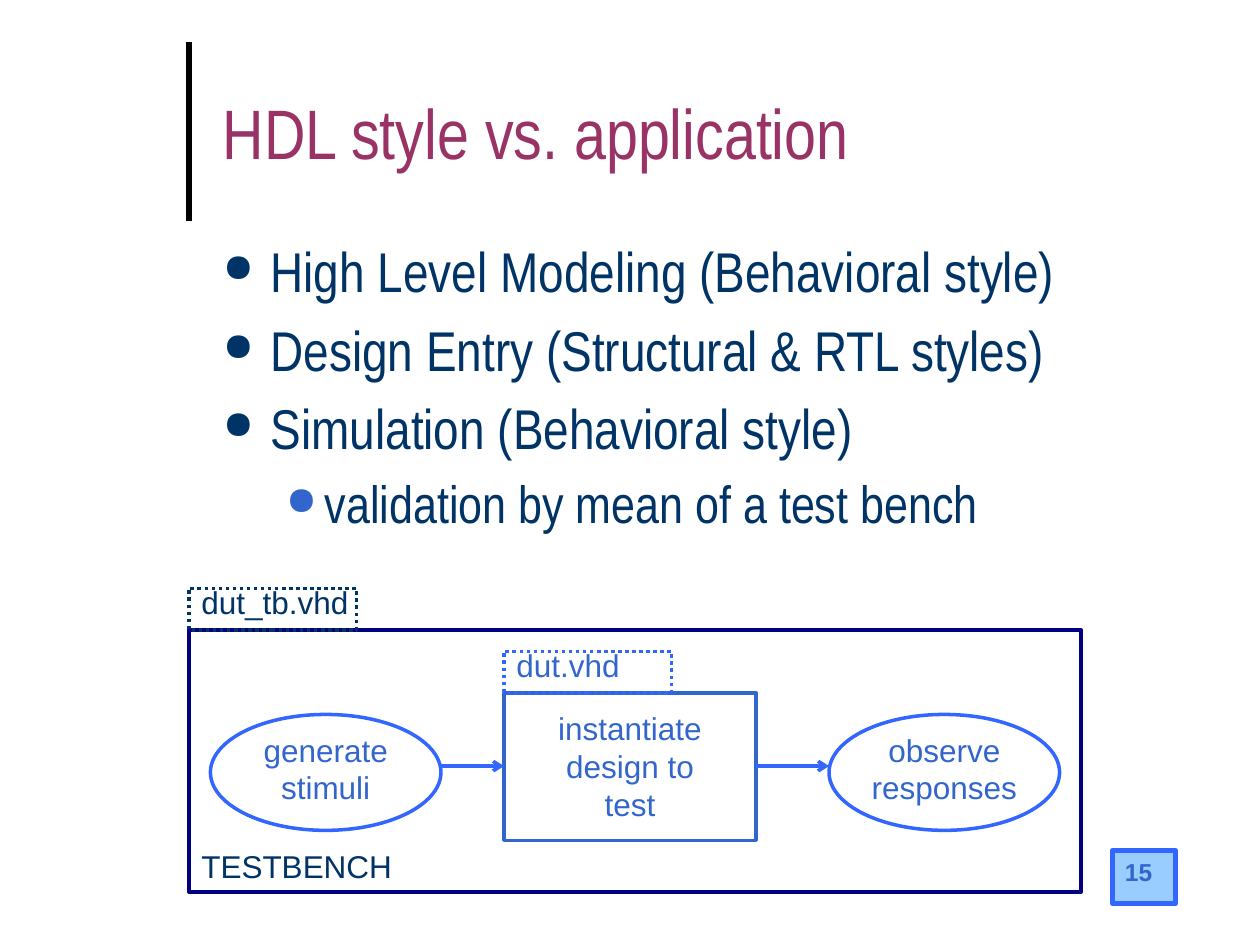
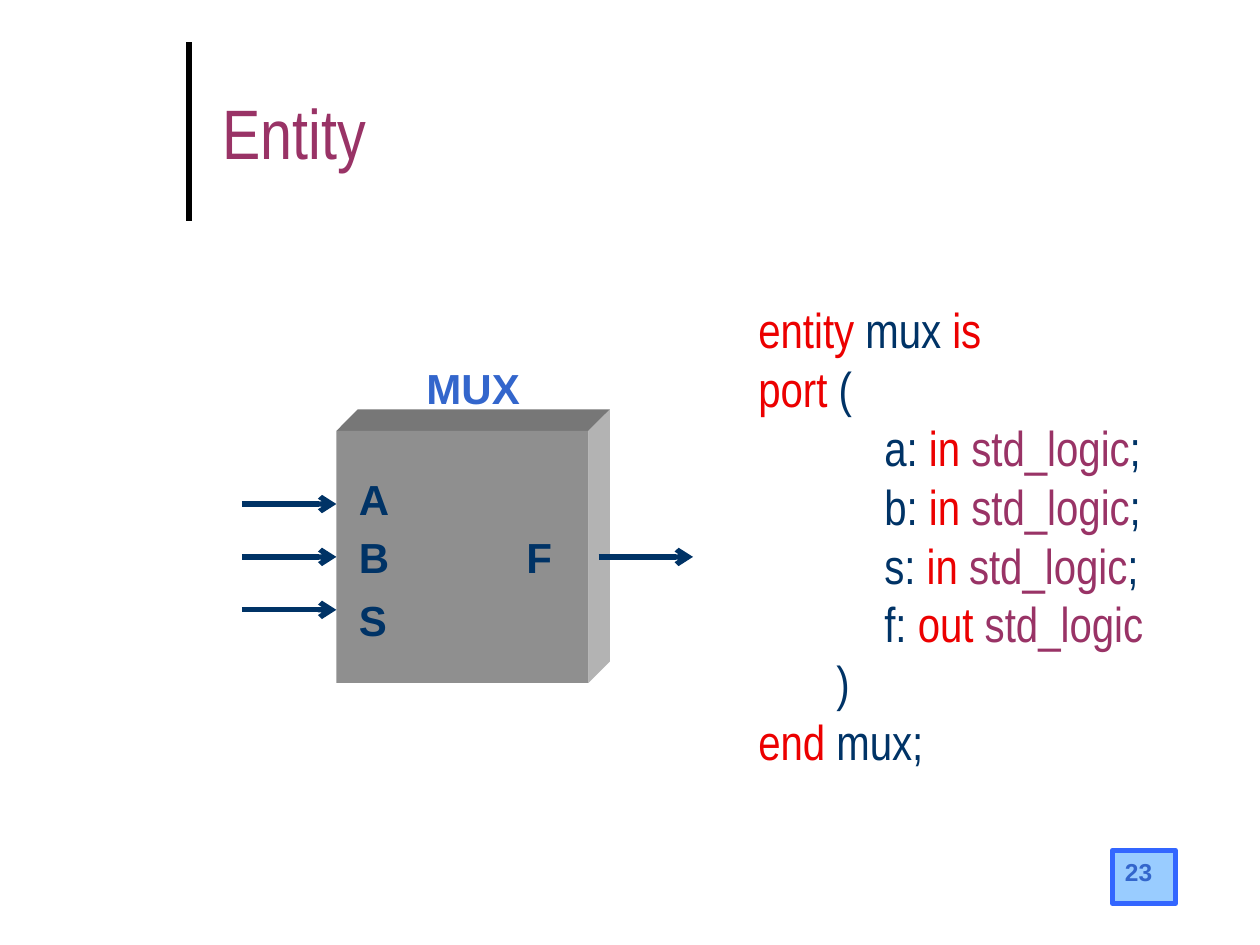
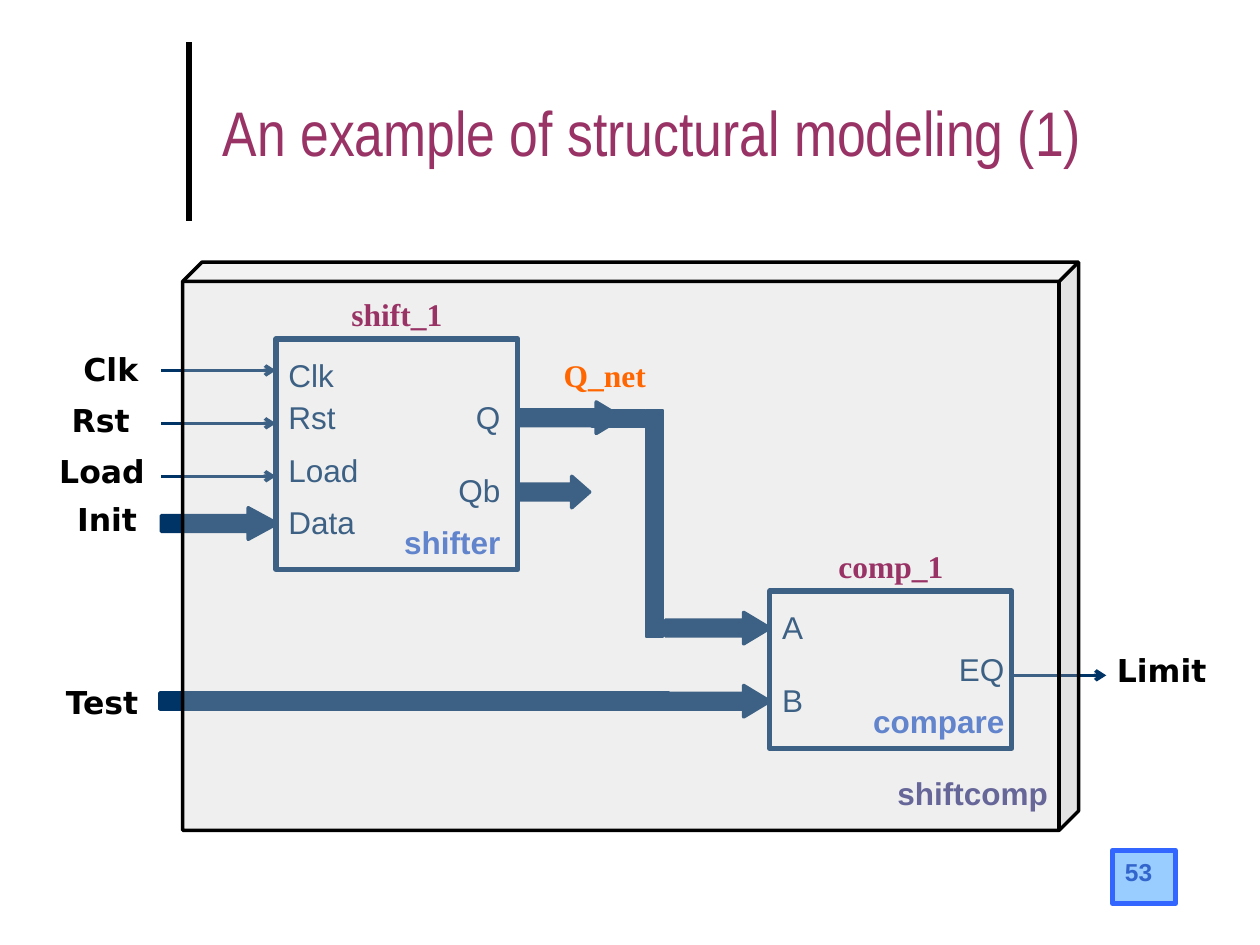
from lxml.etree import SubElement
from pptx import Presentation
from pptx.dml.color import RGBColor
from pptx.enum.dml import MSO_LINE
from pptx.enum.shapes import MSO_CONNECTOR, MSO_SHAPE
from pptx.enum.text import MSO_ANCHOR, PP_ALIGN
from pptx.oxml.ns import qn
from pptx.util import Inches, Pt

BLACK = RGBColor(0x00, 0x00, 0x00)
NAVY = RGBColor(0x00, 0x33, 0x66)
FRAME = RGBColor(0x00, 0x00, 0x80)
BLUE = RGBColor(0x33, 0x66, 0xCC)
BRIGHT = RGBColor(0x33, 0x66, 0xFF)
SKY = RGBColor(0x99, 0xCC, 0xFF)
PLUM = RGBColor(0x99, 0x33, 0x66)
RED = RGBColor(0xEC, 0x00, 0x00)
ORANGE = RGBColor(0xFF, 0x66, 0x00)
SLATE = RGBColor(0x66, 0x66, 0x99)
SILVER = RGBColor(0xCC, 0xCC, 0xCC)
FRONT = RGBColor(0x8F, 0x8F, 0x8F)
TOP = RGBColor(0x77, 0x77, 0x77)
SIDE = RGBColor(0xB3, 0xB3, 0xB3)

SANS, NARROW, SERIF, BOLD_SANS = "Arial", "Arial Narrow", "Times New Roman", "DejaVu Sans"
LEFT, CENTER, RIGHT = PP_ALIGN.LEFT, PP_ALIGN.CENTER, PP_ALIGN.RIGHT


def fill_text(tf, paragraphs, size=18, color=NAVY, font=SANS, bold=False,
              align=LEFT, anchor=MSO_ANCHOR.TOP):
    """Each paragraph is a string or a list of (text, colour) runs."""
    tf.word_wrap = True
    tf.vertical_anchor = anchor
    for i, runs in enumerate(paragraphs):
        p = tf.paragraphs[0] if i == 0 else tf.add_paragraph()
        p.alignment = align
        for words, tint in [(runs, color)] if isinstance(runs, str) else runs:
            r = p.add_run()
            r.text = words
            r.font.size, r.font.name, r.font.bold = Pt(size), font, bold
            r.font.color.rgb = tint


def text(s, box, *paragraphs, **style):
    tf = s.shapes.add_textbox(*map(Inches, box)).text_frame
    fill_text(tf, paragraphs, **style)
    return tf


def style_shape(sp, fill, line, width, dash):
    sp.shadow.inherit = False
    if fill is None:
        sp.fill.background()
    else:
        sp.fill.solid()
        sp.fill.fore_color.rgb = fill
    if line is None:
        sp.line.fill.background()
    else:
        sp.line.color.rgb, sp.line.width = line, Pt(width)
        if dash:
            sp.line.dash_style = dash


def shape(s, kind, box, fill=None, line=None, width=2, dash=None, adj=()):
    sp = s.shapes.add_shape(kind, *map(Inches, box))
    for i, value in enumerate(adj):
        sp.adjustments[i] = value
    style_shape(sp, fill, line, width, dash)
    return sp


def polygon(s, points, fill):
    (x, y), *rest = [(Inches(px), Inches(py)) for px, py in points]
    builder = s.shapes.build_freeform(x, y)
    builder.add_line_segments(rest)
    style_shape(builder.convert_to_shape(), fill, None, 0, None)


def line(s, x1, y1, x2, y2, color=NAVY, width=2, arrow=True):
    c = s.shapes.add_connector(MSO_CONNECTOR.STRAIGHT, *map(Inches, (x1, y1, x2, y2)))
    c.line.color.rgb, c.line.width = color, Pt(width)
    if arrow:
        SubElement(c.line._get_or_add_ln(), qn("a:tailEnd"), type="arrow")
    SubElement(c._element.spPr, qn("a:effectLst"))


def base_slide(prs, title, number, size=40):
    s = prs.slides.add_slide(prs.slide_layouts[6])
    line(s, 1.5, 1.75, 1.5, 0.33, BLACK, 3, arrow=False)
    text(s, (1.67, 0.21, 8.1, 1.67), title, size=size, color=PLUM, font=NARROW,
         anchor=MSO_ANCHOR.MIDDLE)
    badge = shape(s, MSO_SHAPE.RECTANGLE, (8.83, 6.75, 0.5, 0.42), SKY, BRIGHT, 3)
    fill_text(badge.text_frame, [str(number)], size=14, color=BLUE, bold=True)
    return s


def bullets(s, box, items):
    """Items are (level, text) pairs."""
    levels = [(32, 0.38, 0.38, NAVY, 70), (30, 0.81, 0.31, BLUE, 75)]
    tf = text(s, box, *[words for _, words in items], font=NARROW)
    for p, (level, _) in zip(tf.paragraphs, items):
        size, margin, hang, color, percent = levels[level]
        p.level = level
        p.runs[0].font.size = Pt(size)
        p.space_before = Pt(size * 0.2)
        pPr = p._p.get_or_add_pPr()
        pPr.set("marL", str(Inches(margin)))
        pPr.set("indent", str(-Inches(hang)))
        SubElement(SubElement(pPr, qn("a:buClr")), qn("a:srgbClr"), val=str(color))
        SubElement(pPr, qn("a:buSzPct"), val=str(percent * 1000))
        SubElement(pPr, qn("a:buChar"), char="●")


def file_tab(s, x, y, name, color, outline):
    shape(s, MSO_SHAPE.RECTANGLE, (x, y, 1.33, 0.33), line=outline, dash=MSO_LINE.ROUND_DOT)
    text(s, (x, y - 0.09, 1.5, 0.4), name, color=color)


def testbench(s, x, y, w, h):
    mid = y + 1.08
    shape(s, MSO_SHAPE.RECTANGLE, (x, y, w, h), line=FRAME, width=2.25)
    file_tab(s, x, y - 0.33, "dut_tb.vhd", NAVY, NAVY)
    text(s, (x, y + h - 0.41, 1.8, 0.4), "TESTBENCH")
    for dx, words in [(0.17, ("generate", "stimuli")), (w - 2, ("observe", "responses"))]:
        shape(s, MSO_SHAPE.OVAL, (x + dx, mid - 0.41, 1.83, 0.92), line=BRIGHT)
        text(s, (x + dx, mid - 0.33, 1.83, 0.7), *words, color=BLUE, align=CENTER)
    shape(s, MSO_SHAPE.RECTANGLE, (x + 2.5, y + 0.5, 2, 1.17), line=BLUE)
    text(s, (x + 2.5, y + 0.58, 2, 1), "instantiate", "design to", "test",
         color=BLUE, align=CENTER)
    file_tab(s, x + 2.5, y + 0.17, "dut.vhd", BLUE, BRIGHT)
    line(s, x + 2, mid, x + 2.5, mid, BRIGHT)
    line(s, x + 4.5, mid, x + w - 2, mid, BRIGHT)


def mux_block(s, x, y, side, depth=0.17):
    right, bottom = x + side, y + side
    polygon(s, [(x, y), (x + depth, y - depth), (right + depth, y - depth), (right, y)], TOP)
    polygon(s, [(right, y), (right + depth, y - depth), (right + depth, bottom - depth),
                (right, bottom)], SIDE)
    shape(s, MSO_SHAPE.RECTANGLE, (x, y, side, side), FRONT)
    label = dict(size=24, bold=True)
    text(s, (x, y - 0.59, 2.17, 0.5), "MUX", color=BLUE, align=CENTER, **label)
    for i, (name, dy) in enumerate([("A", 0.29), ("B", 0.75), ("S", 1.25)]):
        wire = y + 0.58 + i * 0.42
        line(s, x - 0.75, wire, x, wire, width=3)
        text(s, (x + 0.08, y + dy, 0.5, 0.5), name, **label)
    text(s, (x + 1.41, y + 0.75, 0.5, 0.5), "F", **label)
    line(s, x + 2.08, y + 1, x + 2.83, y + 1, width=3)


def entity_code(s, box):
    def port(name, direction, end=";"):
        return [(f"{name}: ", NAVY), (f"{direction} ", RED), ("std_logic", PLUM), (end, NAVY)]

    ports = [port("a", "in"), port("b", "in"), port("s", "in"), port("f", "out", "")]
    tf = text(s, box, [("entity", RED), (" mux ", NAVY), ("is", RED)],
              [("port", RED), (" (", NAVY)], *ports, ")",
              [("end", RED), (" mux;", NAVY)], size=28, font=NARROW)
    indents = [0, 0] + [1] * len(ports) + [0.62, 0]
    for p, indent in zip(tf.paragraphs, indents):
        p._p.get_or_add_pPr().set("marL", str(Inches(indent)))


def component(s, box, instance, entity, inputs, outputs, right_gap):
    """Pins are (name, offset from the top) pairs."""
    x, y, w, h = box
    right = x + w - right_gap
    shape(s, MSO_SHAPE.RECTANGLE, box, line=NAVY, width=3)
    for name, dy in inputs:
        text(s, (x, y + dy, 1, 0.4), name)
    for name, dy in outputs:
        text(s, (right - 1, y + dy, 1, 0.4), name, align=RIGHT)
    text(s, (right - 1.5, y + h - 0.42, 1.5, 0.4), entity, color=BLUE, bold=True, align=RIGHT)
    return (x, y - 0.4, w, 0.4), instance


def bus(s, x, y, w, h):
    shape(s, MSO_SHAPE.RECTANGLE, (x, y, w, h), NAVY, NAVY)


def bus_arrow(s, x, y, w):
    head = 0.568 if w < 0.6 else w
    shape(s, MSO_SHAPE.RIGHT_ARROW, (x, y, w, 0.25), NAVY, NAVY, adj=(0.5, head))


def shiftcomp(s, x, y, w, h):
    heading = dict(font=SERIF, bold=True, align=CENTER)
    outer = dict(font=BOLD_SANS, color=BLACK, bold=True, align=CENTER)
    instances = [
        component(s, (x + 0.74, y + 0.61, 1.92, 1.83), "shift_1", "shifter",
                  [("Clk", 0.09), ("Rst", 0.42), ("Load", 0.84), ("Data", 1.25)],
                  [("Q", 0.42), ("Qb", 1)], 0.04),
        component(s, (x + 4.66, y + 2.61, 1.92, 1.25), "comp_1", "compare",
                  [("A", 0.09), ("B", 0.67)], [("EQ", 0.42)], -0.04),
    ]
    for i in range(3):
        wire = y + 0.86 + i * 0.42
        line(s, x - 0.17, wire, x + 0.74, wire)
    line(s, x + 6.58, y + 3.28, x + 7.33, y + 3.28)
    for dx, dy, length in [(-0.17, 1.95, 0.92), (2.66, 1.11, 0.83), (2.66, 1.7, 0.57),
                           (3.83, 2.78, 0.83), (3.83, 3.36, 0.83)]:
        bus_arrow(s, x + dx, y + dy, length)
    bus(s, x + 3.25, y + 1.18, 0.42, 0.12)
    bus(s, x + 3.68, y + 1.18, 0.13, 1.79)
    bus(s, x - 0.18, y + 3.42, 4.04, 0.13)

    cube = shape(s, MSO_SHAPE.CUBE, (x, y, w, h), SILVER, BLACK, adj=(0.034,))
    tint = cube._element.spPr.find(qn("a:solidFill"))[0]
    SubElement(tint, qn("a:alpha"), val="30000")

    for box, name in instances:
        text(s, box, name, color=PLUM, **heading)
    text(s, (x + 2.85, y + 0.7, 1, 0.4), "Q_net", color=ORANGE, **heading)
    text(s, (x + 5.47, y + 4.01, 1.6, 0.4), "shiftcomp", color=SLATE, bold=True, align=CENTER)
    for name, center, dy in [("Clk", -0.57, 0.65), ("Rst", -0.65, 1.05), ("Load", -0.64, 1.46),
                             ("Init", -0.6, 1.84), ("Test", -0.64, 3.29),
                             ("Limit", 7.77, 3.04)]:
        text(s, (x + center - 0.55, y + dy, 1.1, 0.4), name, **outer)


def main():
    prs = Presentation()
    prs.slide_width, prs.slide_height = Inches(10), Inches(7.5)

    s = base_slide(prs, "HDL style vs. application", 15)
    bullets(s, (1.67, 1.83, 7.67, 2.6), [
        (0, "High Level Modeling (Behavioral style)"),
        (0, "Design Entry (Structural & RTL styles)"),
        (0, "Simulation (Behavioral style)"),
        (1, "validation by mean of a test bench"),
    ])
    testbench(s, 1.5, 5, 7.08, 2.08)

    s = base_slide(prs, "Entity", 23)
    mux_block(s, 2.67, 3.42, 2)
    entity_code(s, (5.92, 2.33, 3.6, 3.84))

    s = base_slide(prs, "An example of structural modeling (1)", 53, size=36)
    shiftcomp(s, 1.45, 2.08, 7.11, 4.51)

    prs.save("out.pptx")


if __name__ == "__main__":
    main()
